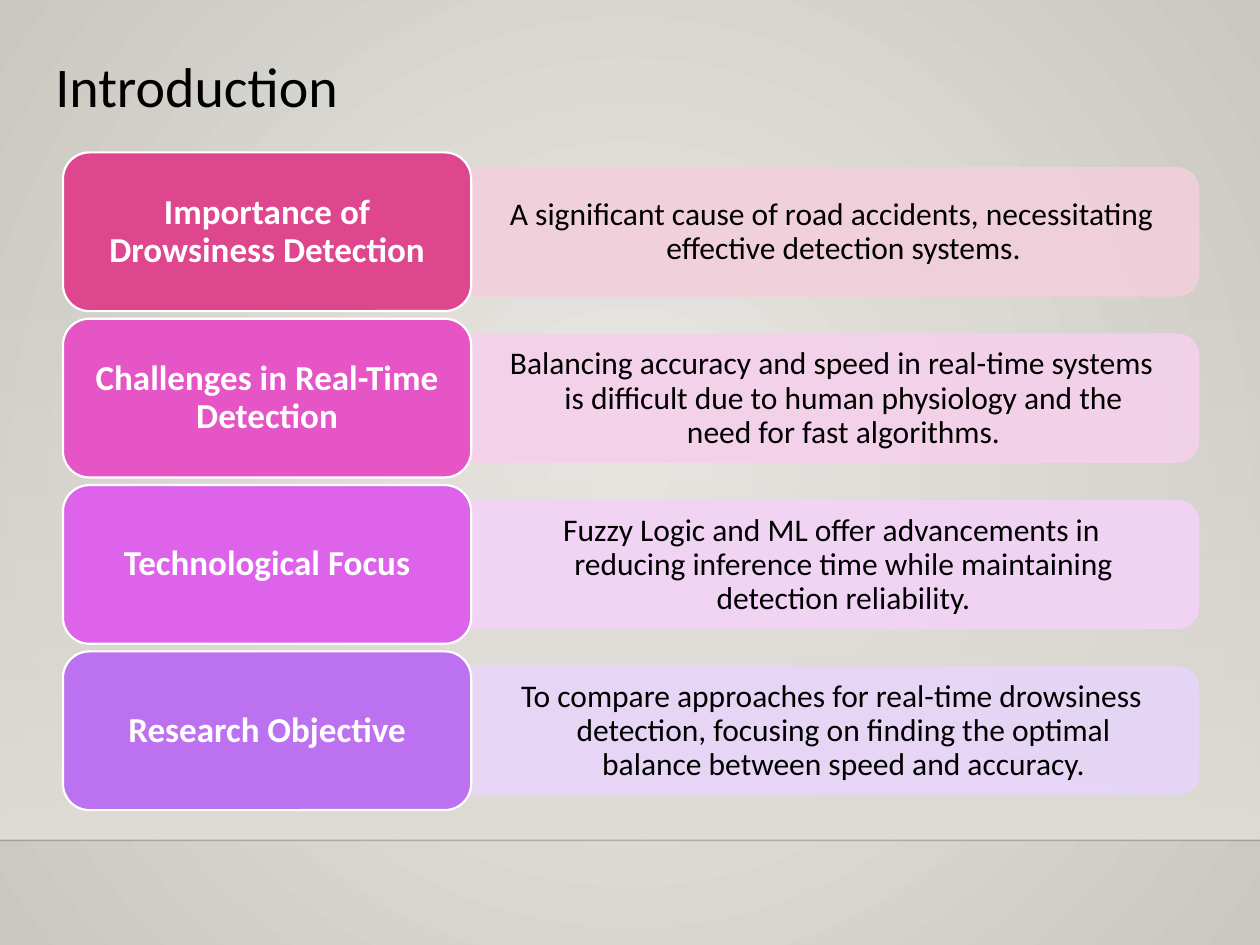
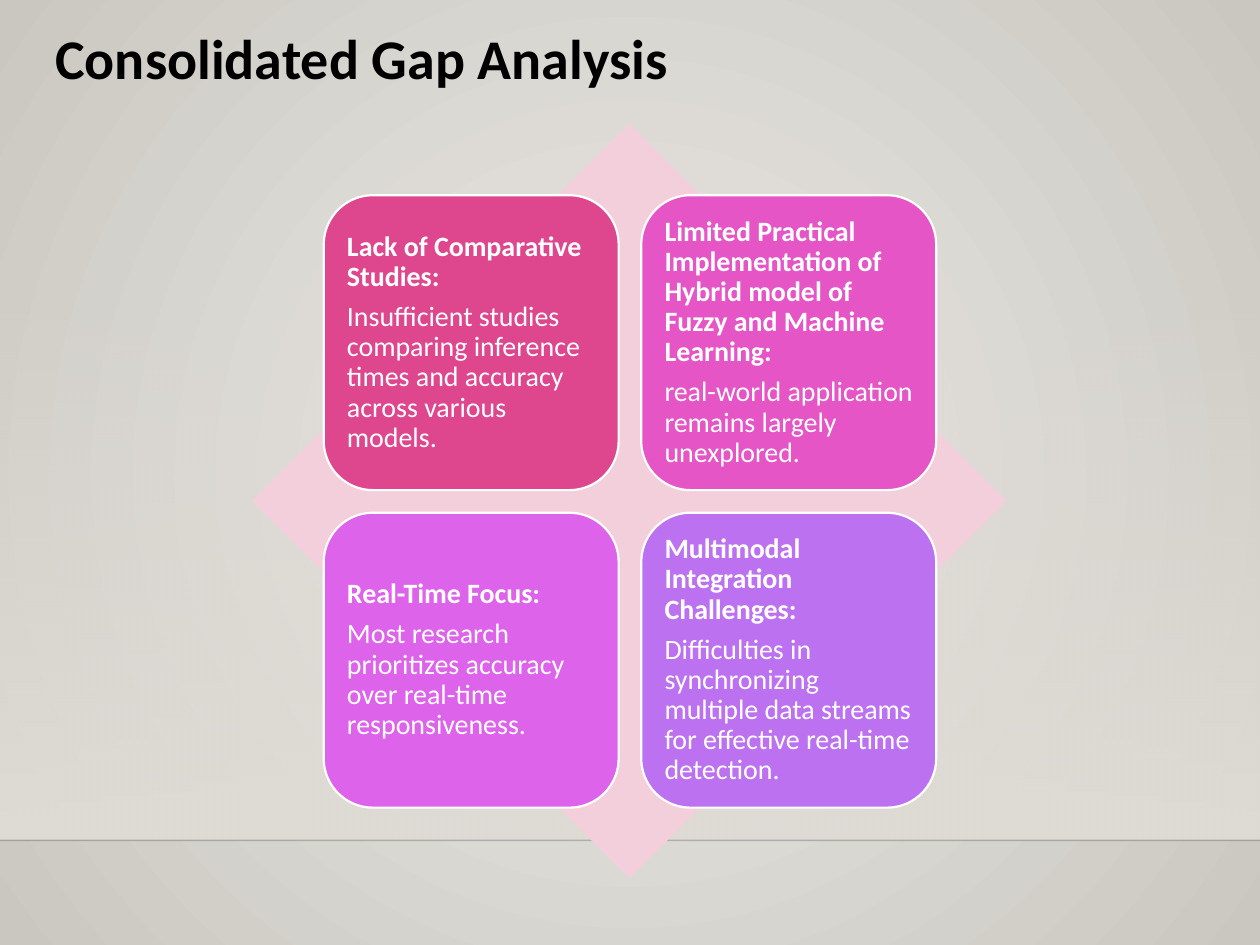
from dataclasses import dataclass
from lxml import etree
from pptx import Presentation
from pptx.dml.color import RGBColor
from pptx.enum.shapes import MSO_CONNECTOR as Connector, MSO_SHAPE as Shape
from pptx.enum.text import MSO_ANCHOR as Anchor, PP_ALIGN as Align
from pptx.oxml import parse_xml
from pptx.oxml.ns import nsdecls, qn
from pptx.util import Inches, Pt


@dataclass(frozen=True)
class Theme:
    font: str = "Calibri"
    title_size: int = 32
    label_size: int = 20
    detail_size: int = 18
    card_size: int = 16
    outline: float = 1.25
    black: str = "000000"
    white: str = "FFFFFF"
    page_center: str = "ECEAE7"
    page_edge: str = "CAC7C1"
    band: str = "DFDBD5"
    floor_line: str = "000001"
    strong: tuple = ("DE478E", "E555C6", "DD63EB", "BC72F0")
    pale: tuple = ("F2CFDB", "F5D1EB", "F3D3F7", "E7D5F9")


THEME = Theme()

# Content
INTRO_TITLE = "Introduction"
INTRO_ROWS = [
    ("Importance of Drowsiness Detection",
     "A significant cause of road accidents, necessitating effective detection systems."),
    ("Challenges in Real-Time Detection",
     "Balancing accuracy and speed in real-time systems is difficult due to human "
     "physiology and the need for fast algorithms."),
    ("Technological Focus",
     "Fuzzy Logic and ML offer advancements in reducing inference time while "
     "maintaining detection reliability."),
    ("Research Objective",
     "To compare approaches for real-time drowsiness detection, focusing on finding "
     "the optimal balance between speed and accuracy."),
]
GAP_TITLE = "Consolidated Gap Analysis"
GAP_CARDS = [
    ("Lack of Comparative Studies:",
     "Insufficient studies comparing inference times and accuracy across various models."),
    ("Limited Practical Implementation of Hybrid model of Fuzzy and Machine Learning:",
     "real-world application remains largely unexplored."),
    ("Real-Time Focus:",
     "Most research prioritizes accuracy over real-time responsiveness."),
    ("Multimodal Integration Challenges:",
     "Difficulties in synchronizing multiple data streams for effective real-time detection."),
]


# Drawing helpers
def set_alpha(paint, percent):
    """Set the opacity of a solid fill or line element."""
    color = next(paint.iter(qn("a:srgbClr")))
    etree.SubElement(color, qn("a:alpha")).set("val", str(percent * 1000))


def gradient(start, end, direction, start_alpha=100):
    return parse_xml(
        f'<a:gradFill {nsdecls("a")} rotWithShape="1"><a:gsLst>'
        f'<a:gs pos="0"><a:srgbClr val="{start}"><a:alpha val="{start_alpha * 1000}"/>'
        f'</a:srgbClr></a:gs><a:gs pos="100000"><a:srgbClr val="{end}"/></a:gs>'
        f'</a:gsLst>{direction}</a:gradFill>')


def add_shape(page, kind, area, fill=None, line=None, alpha=None):
    shape = page.shapes.add_shape(kind, *map(Inches, area))
    shape.shadow.inherit = False
    if fill:
        shape.fill.solid()
        shape.fill.fore_color.rgb = RGBColor.from_string(fill)
    if line:
        shape.line.color.rgb = RGBColor.from_string(line)
        shape.line.width = Pt(THEME.outline)
    else:
        shape.line.fill.background()
    if alpha:
        properties = shape.element.spPr
        set_alpha(properties.find(qn("a:solidFill")), alpha)
        set_alpha(properties.find(qn("a:ln")), alpha)
    return shape


def write(box, *texts, size, color, bold=(False,), align=Align.LEFT,
          anchor=Anchor.MIDDLE, margins=(0.1, 0.1), gap=0, hanging=0):
    """Fill a box with paragraphs; bold holds one flag for each text."""
    frame = box.text_frame
    frame.word_wrap = True
    frame.vertical_anchor = anchor
    frame.margin_left = frame.margin_right = Inches(margins[0])
    frame.margin_top = frame.margin_bottom = Inches(margins[1])
    for index, (text, heavy) in enumerate(zip(texts, bold)):
        para = frame.add_paragraph() if index else frame.paragraphs[0]
        para.alignment = align
        para.line_spacing = 0.9
        para.space_after = Pt(gap)
        if hanging:
            properties = para._p.get_or_add_pPr()
            properties.set("marL", str(Inches(hanging)))
            properties.set("indent", str(-Inches(hanging)))
        span = para.add_run()
        span.text = text
        span.font.name = THEME.font
        span.font.size = Pt(size)
        span.font.bold = heavy
        span.font.color.rgb = RGBColor.from_string(color)


def add_text(page, text, area, **style):
    write(page.shapes.add_textbox(*map(Inches, area)), text, **style)


def add_title(page, text, top, bold):
    add_text(page, text, (0.34, top, 9.32, 0.83), size=THEME.title_size,
             color=THEME.black, bold=(bold,), anchor=Anchor.TOP)


def add_page(deck):
    """Start a slide with the shared backdrop, wall band and floor line."""
    page = deck.slides.add_slide(deck.slide_layouts[6])
    page.background.fill.solid()
    backdrop = next(page.element.iter(qn("p:bgPr")))
    backdrop.replace(backdrop.find(qn("a:solidFill")), gradient(
        THEME.page_center, THEME.page_edge,
        '<a:path path="circle"><a:fillToRect l="50000" t="50000" r="50000" b="50000"/></a:path>'))

    band = add_shape(page, Shape.RECTANGLE, (0, 2.2, 10, 4.46))
    band.element.spPr.find(qn("a:prstGeom")).addnext(gradient(
        THEME.band, THEME.band, '<a:lin ang="5400000" scaled="0"/>', start_alpha=0))

    floor = page.shapes.add_connector(
        Connector.STRAIGHT, *map(Inches, (0, 6.67, 10, 6.67)))
    floor.line.color.rgb = RGBColor.from_string(THEME.floor_line)
    floor.line.width = Pt(1)
    properties = floor._element.spPr
    set_alpha(properties.find(qn("a:ln")), 20)
    etree.SubElement(properties, qn("a:effectLst"))
    return page


# Slides
def build_introduction(deck):
    page = add_page(deck)
    add_title(page, INTRO_TITLE, 0.37, bold=False)
    left, first_top, pitch = 0.5, 1.21, 1.32
    label_width, label_height = 3.24, 1.26
    strip_length, strip_height = 5.77, 1.01
    strip_left = left + label_width
    for index, (label, detail) in enumerate(INTRO_ROWS):
        top = first_top + index * pitch
        middle = top + label_height / 2
        # The strip stands upright and is turned so its round end faces right
        strip = add_shape(
            page, Shape.ROUND_2_SAME_RECTANGLE,
            (strip_left + (strip_length - strip_height) / 2,
             middle - strip_length / 2, strip_height, strip_length),
            fill=THEME.pale[index], line=THEME.pale[index], alpha=90)
        strip.rotation = 90
        add_text(page, detail, (strip_left, middle - 0.45, 5.72, 0.91),
                 size=THEME.detail_size, color=THEME.black, align=Align.CENTER,
                 margins=(0.27, 0.14), hanging=0.19)
        label_box = add_shape(page, Shape.ROUNDED_RECTANGLE,
                              (left, top, label_width, label_height),
                              fill=THEME.strong[index], line=THEME.white)
        write(label_box, label, size=THEME.label_size, color=THEME.white,
              bold=(True,), align=Align.CENTER, margins=(0.08, 0.04))


def build_gap_analysis(deck):
    page = add_page(deck)
    add_shape(page, Shape.DIAMOND, (2, 0.98, 5.99, 5.99), fill=THEME.pale[0])
    left, top, side, pitch = 2.57, 1.55, 2.34, 2.52
    for index, (heading, detail) in enumerate(GAP_CARDS):
        row, column = divmod(index, 2)
        card = add_shape(page, Shape.ROUNDED_RECTANGLE,
                         (left + column * pitch, top + row * pitch, side, side),
                         fill=THEME.strong[index], line=THEME.white)
        write(card, heading, detail, size=THEME.card_size, color=THEME.white,
              bold=(True, False), margins=(0.07, 0.07), gap=5.6)
    add_title(page, GAP_TITLE, 0.15, bold=True)


def main():
    deck = Presentation()
    deck.slide_width, deck.slide_height = Inches(10), Inches(7.5)
    build_introduction(deck)
    build_gap_analysis(deck)
    deck.save("out.pptx")


if __name__ == "__main__":
    main()
